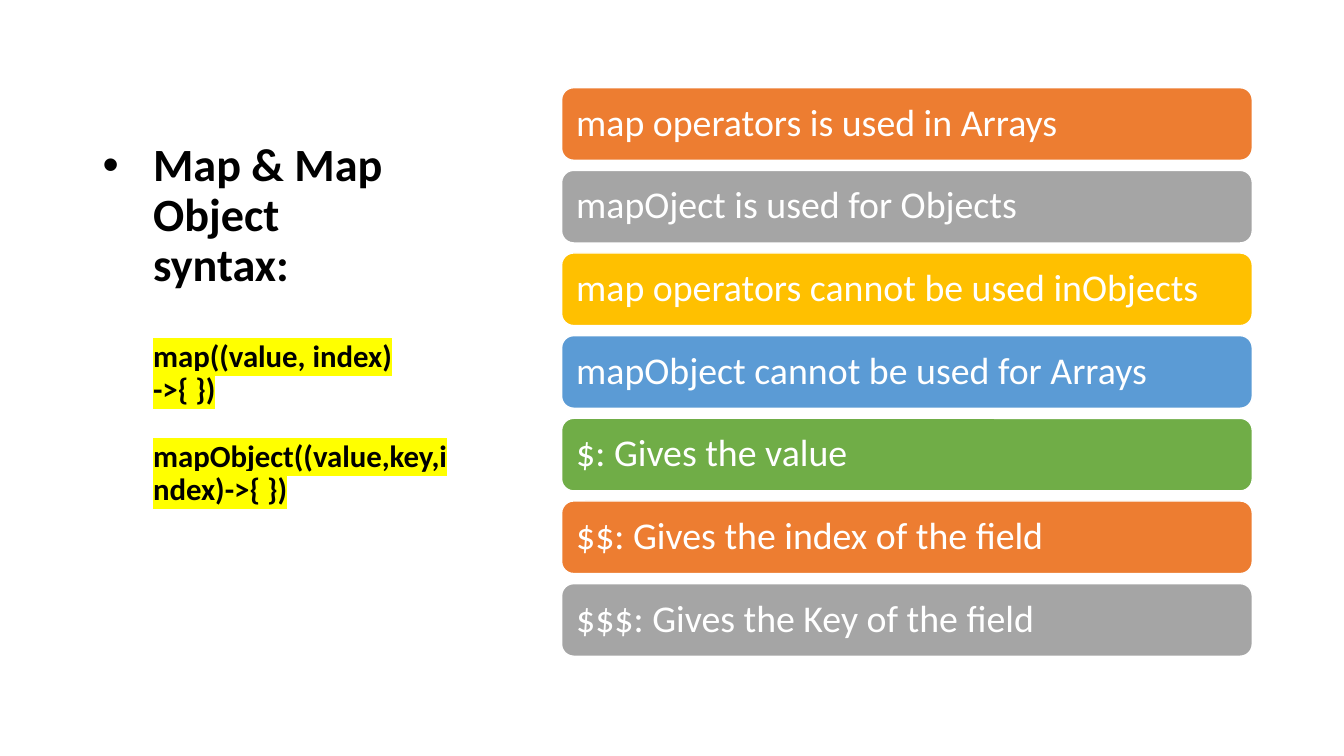
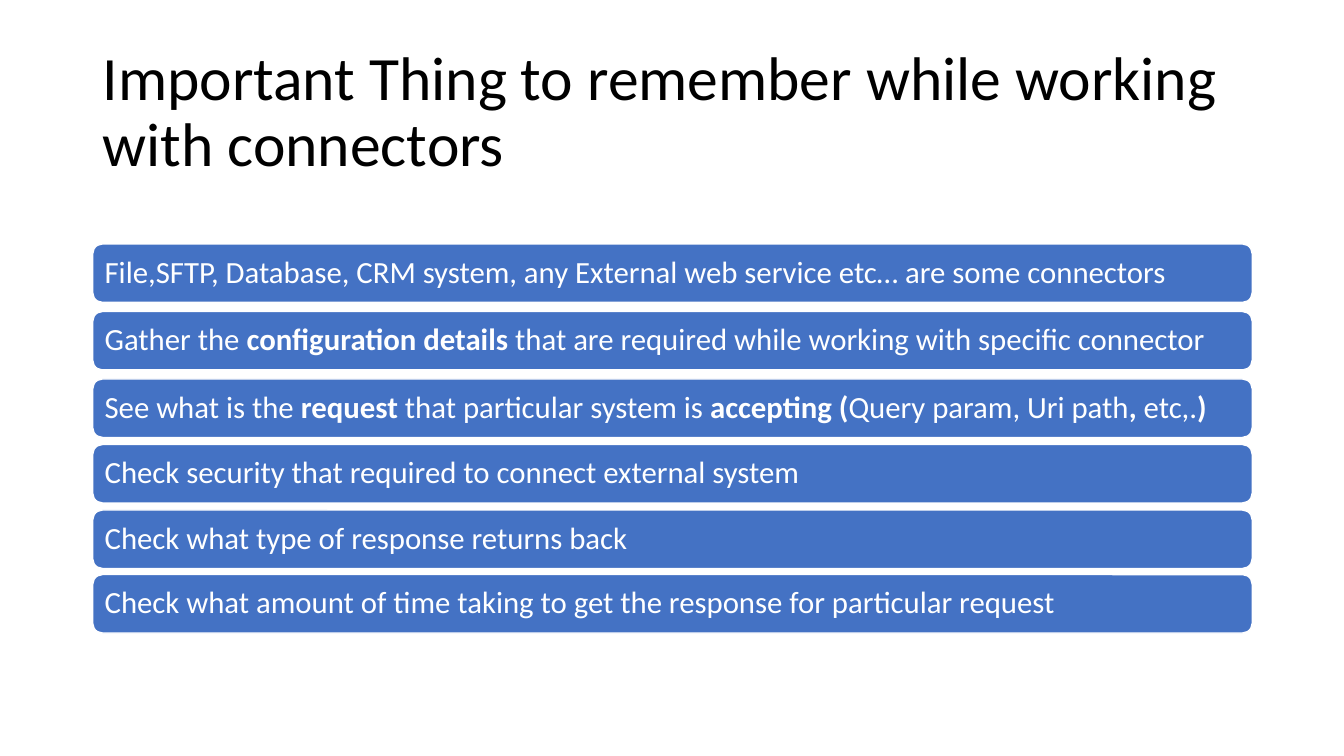
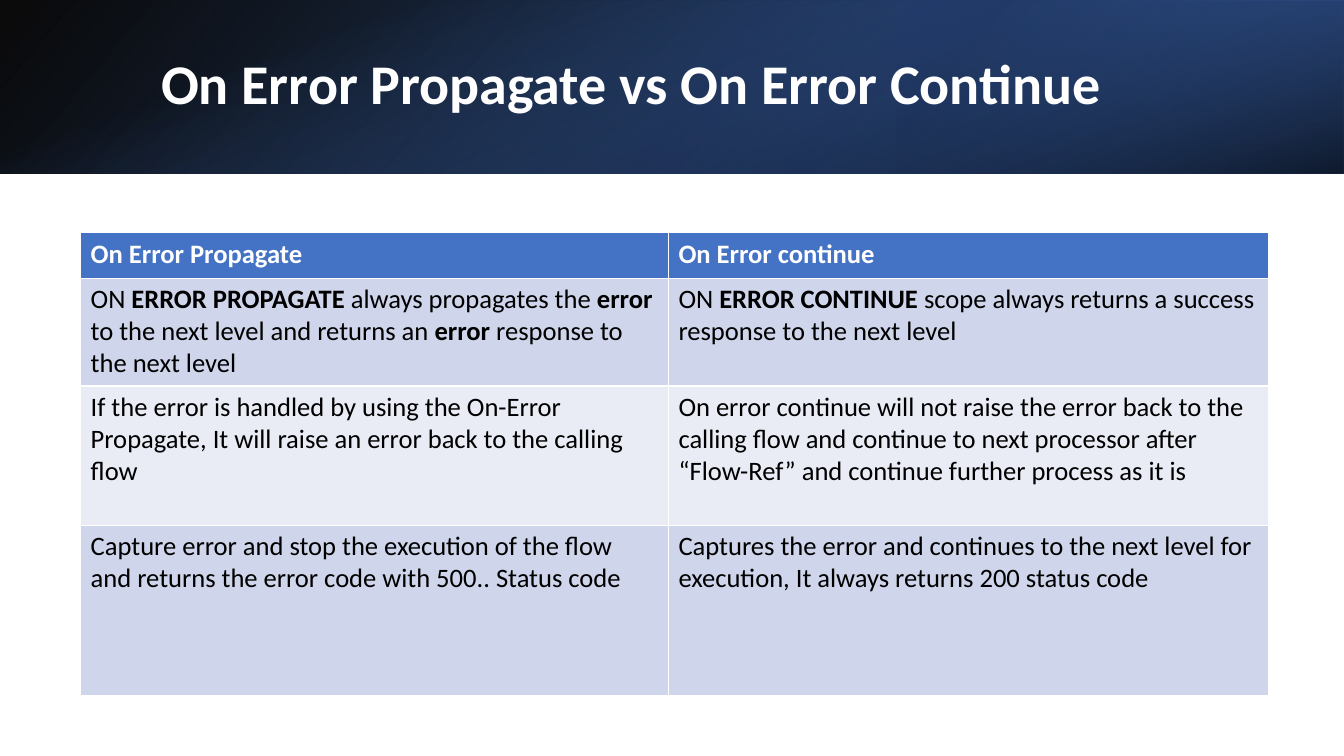
from lxml import etree
from pptx import Presentation
from pptx.dml.color import RGBColor
from pptx.enum.shapes import MSO_SHAPE
from pptx.enum.text import MSO_ANCHOR
from pptx.oxml import parse_xml
from pptx.oxml.ns import qn
from pptx.util import Inches, Pt

ROUND, RECT = MSO_SHAPE.ROUNDED_RECTANGLE, MSO_SHAPE.RECTANGLE
TOP, MIDDLE = MSO_ANCHOR.TOP, MSO_ANCHOR.MIDDLE
FONT = "Calibri"
BLACK, WHITE, BLUE = "000000", "FFFFFF", "4472C4"
ORANGE, GREY, GOLD, SKY, GREEN = "ED7D31", "A5A5A5", "FFC000", "5B9BD5", "70AD47"
BAND_A, BAND_B = "CFD5EA", "E9EBF5"
NS = "http://schemas.openxmlformats.org/drawingml/2006/main"


def write(frame, text, size=18, color=BLACK, bold=False, mark=None, bullet=False,
          indent=0, before=0, line=0.9, anchor=MIDDLE, inset=(0.1, 0.05), more=False):
    """Add one paragraph; ** switches bold and a newline breaks the line."""
    frame.word_wrap = True
    frame.vertical_anchor = anchor
    frame.margin_left = frame.margin_right = Inches(inset[0])
    frame.margin_top = frame.margin_bottom = Inches(inset[1])
    para = frame.add_paragraph() if more else frame.paragraphs[0]
    para.line_spacing = line
    para.space_before = Pt(before)
    props = para._p.get_or_add_pPr()
    props.set("algn", "l")
    if indent:
        props.set("marL", str(Inches(indent)))
        props.set("indent", str(Inches(-indent if bullet else 0)))
    if bullet:
        etree.SubElement(props, qn("a:buFont")).set("typeface", "Arial")
        etree.SubElement(props, qn("a:buChar")).set("char", "•")
    for i, part in enumerate(text.split("**")):
        for j, piece in enumerate(part.split("\n")):
            if j:
                para.add_line_break()
            if not piece:
                continue
            run = para.add_run()
            run.text = piece
            font = run.font
            font.size = Pt(size)
            font.bold = bold or i % 2 == 1
            font.color.rgb = RGBColor.from_string(color)
            if mark:
                glow = etree.SubElement(run._r.get_or_add_rPr(), qn("a:highlight"))
                etree.SubElement(glow, qn("a:srgbClr")).set("val", mark)
            font.name = FONT


def fade(shape, stops, angle):
    """Fill a shape with a gradient of (position, colour, opacity) stops."""
    rows = "".join(
        f'<a:gs pos="{pos * 1000}"><a:srgbClr val="{color}">'
        f'<a:alpha val="{alpha * 1000}"/></a:srgbClr></a:gs>'
        for pos, color, alpha in stops)
    grad = parse_xml(
        f'<a:gradFill xmlns:a="{NS}" rotWithShape="1"><a:gsLst>{rows}</a:gsLst>'
        f'<a:lin ang="{angle * 60000}" scaled="0"/></a:gradFill>')
    shape._element.spPr.find(qn("a:prstGeom")).addnext(grad)


deck = Presentation()
deck.slide_width, deck.slide_height = Inches(13.33), Inches(7.5)
syntax, tips, errors = [deck.slides.add_slide(deck.slide_layouts[6]) for _ in range(3)]

# Slide 1: syntax column
box = syntax.shapes.add_textbox(Inches(0.92), Inches(1.36), Inches(3.69), Inches(4.5))
frame = box.text_frame
write(frame, "Map & Map Object\nsyntax:", size=33, bold=True, bullet=True,
      indent=0.5, anchor=TOP)
for code, gap in [("map((value, index) ->{ })", 35),
                  ("mapObject((value,key,index)->{ })", 24)]:
    write(frame, code, size=22, bold=True, mark="FFFF00", indent=0.5,
          before=gap, anchor=TOP, more=True)

# Slide 2: title
box = tips.shapes.add_textbox(Inches(0.92), Inches(0.4), Inches(11.5), Inches(1.45))
write(box.text_frame, "Important Thing to remember while working with connectors", size=44)

# Slides 1 and 2: stacked bars
rules = [
    (ORANGE, "map operators is used in Arrays"),
    (GREY, "mapOject is used for Objects"),
    (GOLD, "map operators cannot be used inObjects"),
    (SKY, "mapObject cannot be used for Arrays"),
    (GREEN, "$: Gives the value"),
    (ORANGE, "$$: Gives the index of the field"),
    (GREY, "$$$: Gives the Key of the field"),
]
notes = [
    "File,SFTP, Database, CRM system, any External web service etc… are some connectors",
    "Gather the **configuration details **that are required while working with specific connector",
    "See what is the **request** that particular system is **accepting (**Query param, Uri path**, **etc,.**)**",
    "Check security that required to connect external system",
    "Check what type of response returns back",
    "Check what amount of time taking to get the response for particular request",
]
stacks = [
    (syntax, 5.57, 6.85, 0.72, 27, 0.11, rules, [0.87 + 0.82 * i for i in range(7)]),
    (tips, 0.92, 11.5, 0.58, 22, 0.09, [(BLUE, note) for note in notes],
     [2.42, 3.09, 3.76, 4.41, 5.06, 5.7]),
]
for slide, left, width, height, size, pad, rows, tops in stacks:
    for (color, text), top in zip(rows, tops):
        bar = slide.shapes.add_shape(ROUND, Inches(left), Inches(top),
                                     Inches(width), Inches(height))
        bar.shadow.inherit = False
        bar.fill.solid()
        bar.fill.fore_color.rgb = RGBColor.from_string(color)
        bar.line.color.rgb = RGBColor.from_string(WHITE)
        bar.line.width = Pt(1)
        write(bar.text_frame, text, size=size, color=WHITE, inset=(pad, pad))

# Slide 3: layered header band
layers = [
    (0, 0, 13.33, 1.72, 0, True, [(0, BLACK, 96), (100, "2F5597", 100)], 140),
    (8.89, 0, 4.44, 1.72, 180, True, [(19, "203864", 68), (100, BLUE, 79)], 320),
    (5.8, -5.8, 1.72, 13.33, 90, False, [(23, BLUE, 0), (99, BLACK, 74)], 340),
]
for left, top, width, height, turn, flip, stops, angle in layers:
    band = errors.shapes.add_shape(RECT, Inches(left), Inches(top),
                                   Inches(width), Inches(height))
    band.shadow.inherit = False
    band.line.fill.background()
    band.rotation = turn
    if flip:
        band._element.spPr.find(qn("a:xfrm")).set("flipH", "1")
    fade(band, stops, angle)
box = errors.shapes.add_textbox(Inches(1.5), Inches(0.38), Inches(10.98), Inches(0.96))
write(box.text_frame, "On Error Propagate vs On Error Continue", size=40,
      color=WHITE, bold=True)

# Slide 3: comparison table
cells = [
    ("On Error Propagate", "On Error continue"),
    ("ON **ERROR PROPAGATE** always propagates the **error** to the next level and returns an **error** response to the next level",
     "ON **ERROR CONTINUE** scope always returns a success response to the next level"),
    ("If the error is handled by using the On-Error Propagate, It will raise an error back to the calling flow",
     "On error continue will not raise the error back to the calling flow and continue to next processor after “Flow-Ref” and continue further process as it is"),
    ("Capture error and stop the execution of the flow and returns the error code with 500.. Status code",
     "Captures the error and continues to the next level for execution, It always returns 200 status code"),
]
table = errors.shapes.add_table(4, 2, Inches(0.8), Inches(2.31),
                                Inches(11.78), Inches(4.59)).table
for col, width in zip(table.columns, [5.83, 5.95]):
    col.width = Inches(width)
fills = [BLUE, BAND_A, BAND_B, BAND_A]
for r, height in enumerate([0.45, 1.07, 1.38, 1.69]):
    table.rows[r].height = Inches(height)
    for c, text in enumerate(cells[r]):
        cell = table.cell(r, c)
        cell.fill.solid()
        cell.fill.fore_color.rgb = RGBColor.from_string(fills[r])
        write(cell.text_frame, text, size=19, color=BLACK if r else WHITE,
              bold=r == 0, line=1.0, anchor=TOP)
        cell.margin_left = cell.margin_right = Inches(0.1)
        cell.margin_top = cell.margin_bottom = Inches(0.05)
        cell.vertical_anchor = TOP

deck.save("out.pptx")
